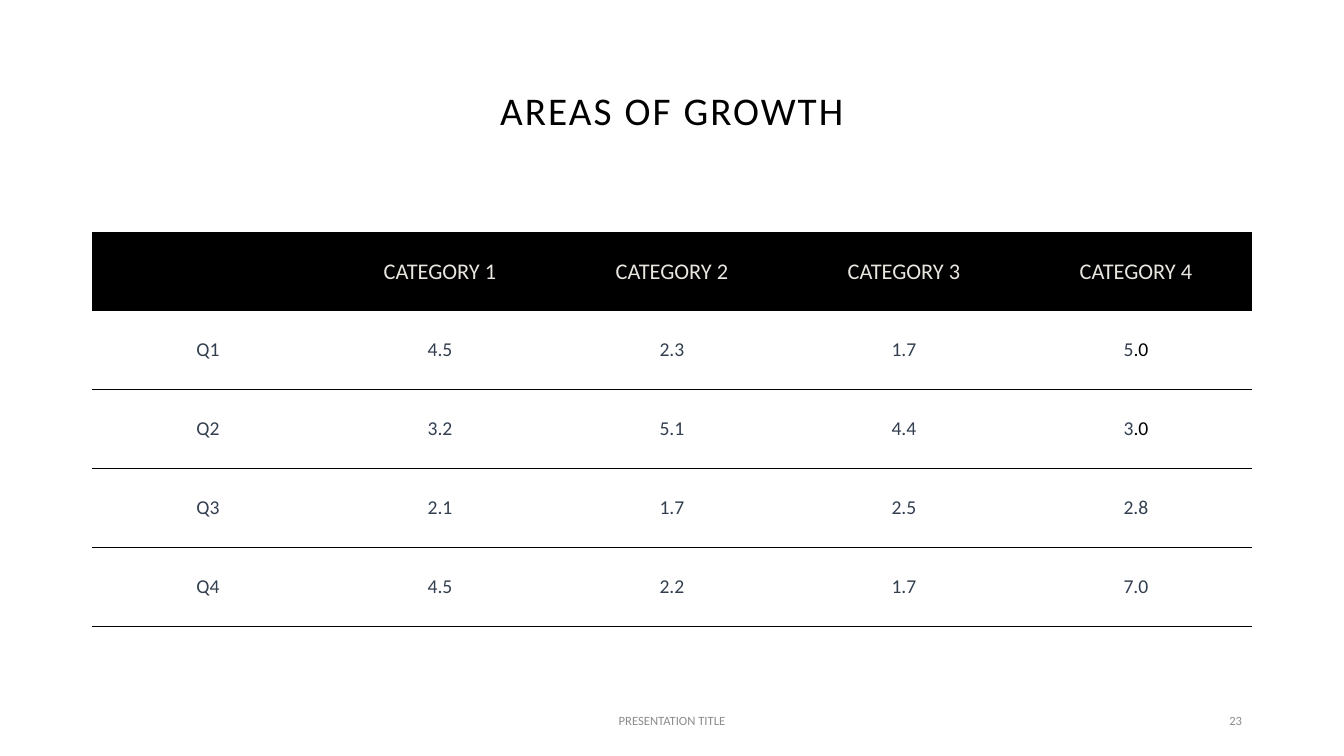
from lxml.etree import SubElement
from pptx import Presentation
from pptx.dml.color import RGBColor
from pptx.enum.text import MSO_ANCHOR, PP_ALIGN
from pptx.oxml.ns import qn
from pptx.util import Pt

EMU_PER_PIXEL = 914400 / 100.8
BLACK = RGBColor(0x00, 0x00, 0x00)
CREAM = RGBColor(0xE9, 0xE6, 0xDF)
SLATE = RGBColor(0x33, 0x3F, 0x50)
GRAY = RGBColor(0x8C, 0x8C, 0x8C)

HEADINGS = ["", "CATEGORY 1", "CATEGORY 2", "CATEGORY 3", "CATEGORY 4"]
QUARTERS = [
    ["Q1", "4.5", "2.3", "1.7", "5.0"],
    ["Q2", "3.2", "5.1", "4.4", "3.0"],
    ["Q3", "2.1", "1.7", "2.5", "2.8"],
    ["Q4", "4.5", "2.2", "1.7", "7.0"],
]
BLACK_DECIMALS = {(1, 4), (2, 4)}


def px(pixels):
    return round(pixels * EMU_PER_PIXEL)


class GrowthSlide:
    font = "Calibri"
    rule_width = Pt(0.5)

    def __init__(self, presentation):
        self.slide = presentation.slides.add_slide(presentation.slide_layouts[5])

    def style(self, paragraph, size, color, align=PP_ALIGN.CENTER):
        paragraph.alignment = align
        for run in paragraph.runs:
            run.font.name = self.font
            run.font.size = Pt(size)
            run.font.bold = False
            run.font.color.rgb = color

    def title(self, text, left, top, width, height):
        heading = self.slide.shapes.title
        heading.left, heading.top = px(left), px(top)
        heading.width, heading.height = px(width), px(height)
        frame = heading.text_frame
        frame.text = text
        frame.vertical_anchor = MSO_ANCHOR.MIDDLE
        paragraph = frame.paragraphs[0]
        paragraph.line_spacing = 0.9
        self.style(paragraph, 28, BLACK)
        paragraph.runs[0].font._element.set("spc", "150")

    def footer(self, text, left, width, align):
        box = self.slide.shapes.add_textbox(px(left), px(701), px(width), px(40))
        frame = box.text_frame
        frame.word_wrap = True
        frame.text = text
        frame.vertical_anchor = MSO_ANCHOR.MIDDLE
        self.style(frame.paragraphs[0], 9, GRAY, align)

    def borders(self, cell):
        properties = cell._tc.get_or_add_tcPr()
        for side in ("L", "R"):
            line = SubElement(properties, qn(f"a:ln{side}"), w="0")
            SubElement(line, qn("a:noFill"))
        for side in ("T", "B"):
            line = SubElement(properties, qn(f"a:ln{side}"), w=str(self.rule_width))
            fill = SubElement(line, qn("a:solidFill"))
            SubElement(fill, qn("a:srgbClr"), val=str(BLACK))

    def cell(self, cell, text, size, color, background=None):
        cell.text = text
        cell.vertical_anchor = MSO_ANCHOR.MIDDLE
        self.style(cell.text_frame.paragraphs[0], size, color)
        self.borders(cell)
        if background is None:
            cell.fill.background()
        else:
            cell.fill.solid()
            cell.fill.fore_color.rgb = background

    def blacken_decimal(self, cell):
        paragraph = cell.text_frame.paragraphs[0]
        whole = paragraph.runs[0]
        size = whole.font.size.pt
        whole.text, decimal = whole.text[:1], whole.text[1:]
        paragraph.add_run().text = decimal
        self.style(paragraph, size, SLATE)
        paragraph.runs[1].font.color.rgb = BLACK

    def table(self, headings, rows, left, top, width, height):
        frame = self.slide.shapes.add_table(
            len(rows) + 1, len(headings), px(left), px(top), px(width), px(height))
        table = frame.table
        table.horz_banding = False
        for column, heading in enumerate(headings):
            self.cell(table.cell(0, column), heading, 16, CREAM, BLACK)
        for row, values in enumerate(rows, 1):
            for column, value in enumerate(values):
                self.cell(table.cell(row, column), value, 14, SLATE)
        return table


presentation = Presentation()
presentation.slide_width, presentation.slide_height = px(1344), px(756)
growth = GrowthSlide(presentation)

# Title
growth.title("AREAS OF GROWTH", 92, 40, 1160, 146)

# Quarterly figures by category
figures = growth.table(HEADINGS, QUARTERS, 92, 232, 1160, 394)
for row, column in BLACK_DECIMALS:
    growth.blacken_decimal(figures.cell(row, column))

# Footer and slide number
growth.footer("PRESENTATION TITLE", 445, 454, PP_ALIGN.CENTER)
growth.footer("23", 950, 302, PP_ALIGN.RIGHT)

presentation.save("out.pptx")
